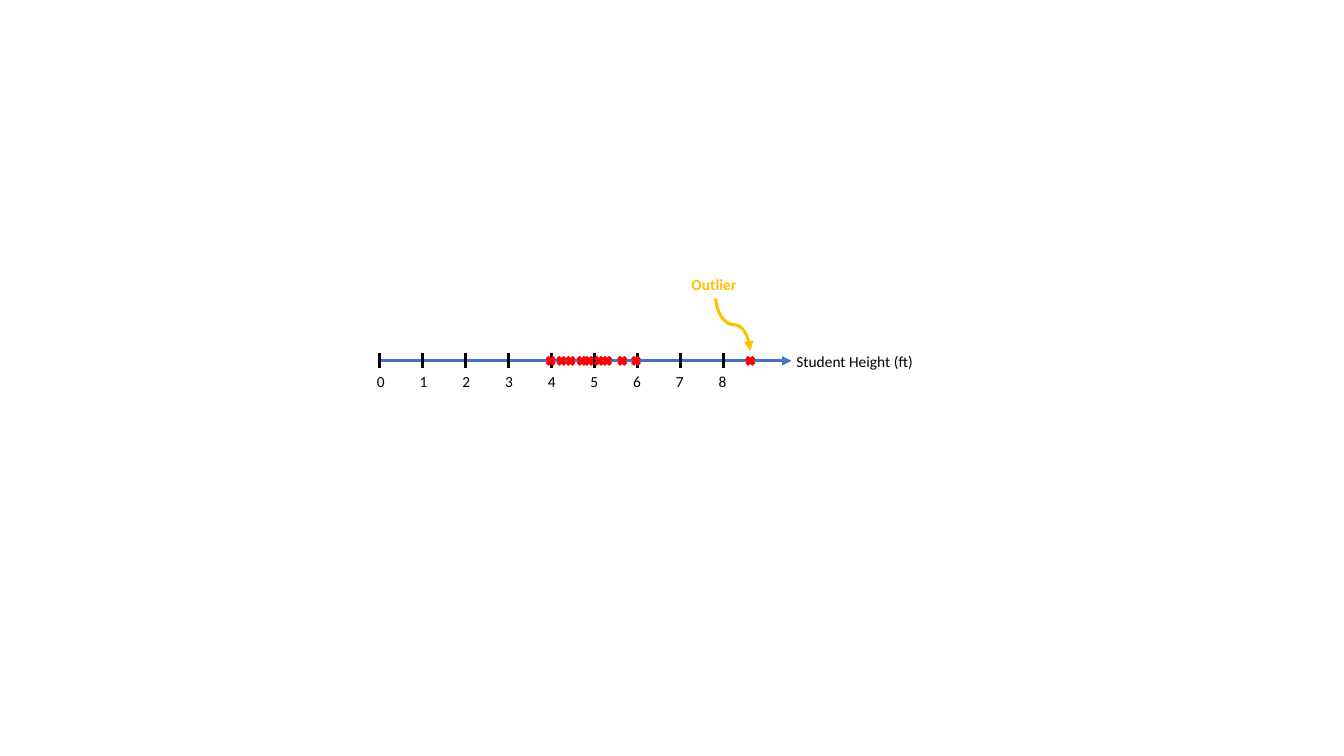
from pptx import Presentation
from pptx.dml.color import RGBColor
from pptx.enum.shapes import MSO_CONNECTOR as Link, MSO_SHAPE as Shape
from pptx.enum.text import MSO_AUTO_SIZE as AutoSize
from pptx.oxml.ns import qn
from pptx.util import Inches, Pt
from lxml.etree import SubElement

BLACK = RGBColor(0x00, 0x00, 0x00)
BLUE = RGBColor(0x44, 0x72, 0xC4)
RED = RGBColor(0xFF, 0x00, 0x00)
GOLD = RGBColor(0xFF, 0xC0, 0x00)

LAST_FOOT = 8
ZERO_X = 3.76
FOOT = 3.42 / LAST_FOOT      # width of one foot on the scale
AXIS_Y = 3.58
TICK = 0.15
CROSS = 0.12
LABEL_HEIGHT = 0.29
DIGIT_STEP = 0.4235          # the digits run slightly tighter than the ticks

OUTLIER = 8.61
HEIGHTS = [OUTLIER, 4.44, 4.87, 5.29, 5.64, 5.96, 5.1, 4.7, 3.98, 4.23]

deck = Presentation()
deck.slide_width, deck.slide_height = Inches(13.33), Inches(7.5)
slide = deck.slides.add_slide(deck.slide_layouts[6])


def add_line(start, end, color, kind=Link.STRAIGHT, arrow=False):
    """Draw a shadowless connector, with an arrowhead at its end if wanted."""
    line = slide.shapes.add_connector(kind, *map(Inches, start + end))
    line.line.color.rgb = color
    line.line.width = Pt(2.25)
    properties = line.element.spPr
    if arrow:
        SubElement(properties.find(qn("a:ln")), qn("a:tailEnd"), type="triangle")
    SubElement(properties, qn("a:effectLst"))
    return line


def add_label(left, top, width, words, color=BLACK, bold=None):
    """Write one line of text and return its paragraph."""
    box = slide.shapes.add_textbox(*map(Inches, (left, top, width, LABEL_HEIGHT)))
    box.text_frame.word_wrap = True
    box.text_frame.auto_size = AutoSize.SHAPE_TO_FIT_TEXT
    paragraph = box.text_frame.paragraphs[0]
    paragraph.line_spacing = 1.07
    paragraph.space_after = Pt(8)
    run = paragraph.add_run()
    run.text = words
    run.font.name, run.font.size, run.font.bold = "Calibri", Pt(11), bold
    run.font.color.rgb = color
    return paragraph


# Axis with its scale and title
add_line((ZERO_X, AXIS_Y), (7.85, AXIS_Y), BLUE, arrow=True)
digits = "\t".join(str(foot) for foot in range(LAST_FOOT + 1))
scale = add_label(3.64, 3.63, 4.22, digits)
tab_stops = SubElement(scale._p.get_or_add_pPr(), qn("a:tabLst"))
for foot in range(1, LAST_FOOT + 1):
    SubElement(tab_stops, qn("a:tab"), pos=str(Inches(foot * DIGIT_STEP)), algn="l")
add_label(7.8, 3.43, 1.39, "Student Height (ft)")
for foot in range(LAST_FOOT + 1):
    tick_x = ZERO_X + foot * FOOT
    add_line((tick_x, AXIS_Y - TICK / 2), (tick_x, AXIS_Y + TICK / 2), BLACK)

# One cross per student
for height in HEIGHTS:
    cross = slide.shapes.add_shape(
        Shape.MATH_MULTIPLY,
        Inches(ZERO_X + height * FOOT - CROSS / 2), Inches(AXIS_Y - CROSS / 2),
        Inches(CROSS), Inches(CROSS))
    cross.shadow.inherit = False
    cross.fill.solid()
    cross.fill.fore_color.rgb = RED
    cross.line.color.rgb = RED
    cross.line.width = Pt(1)

# Outlier callout: the curve is laid flat, then turned to point down
pointer = add_line((7.53, 3.05), (7.01, 3.39), GOLD, Link.CURVE, arrow=True)
pointer.element.spPr.find(qn("a:xfrm")).set("rot", str(270 * 60000))
add_label(6.76, 2.67, 1.39, "Outlier", GOLD, bold=True)

deck.save("out.pptx")
